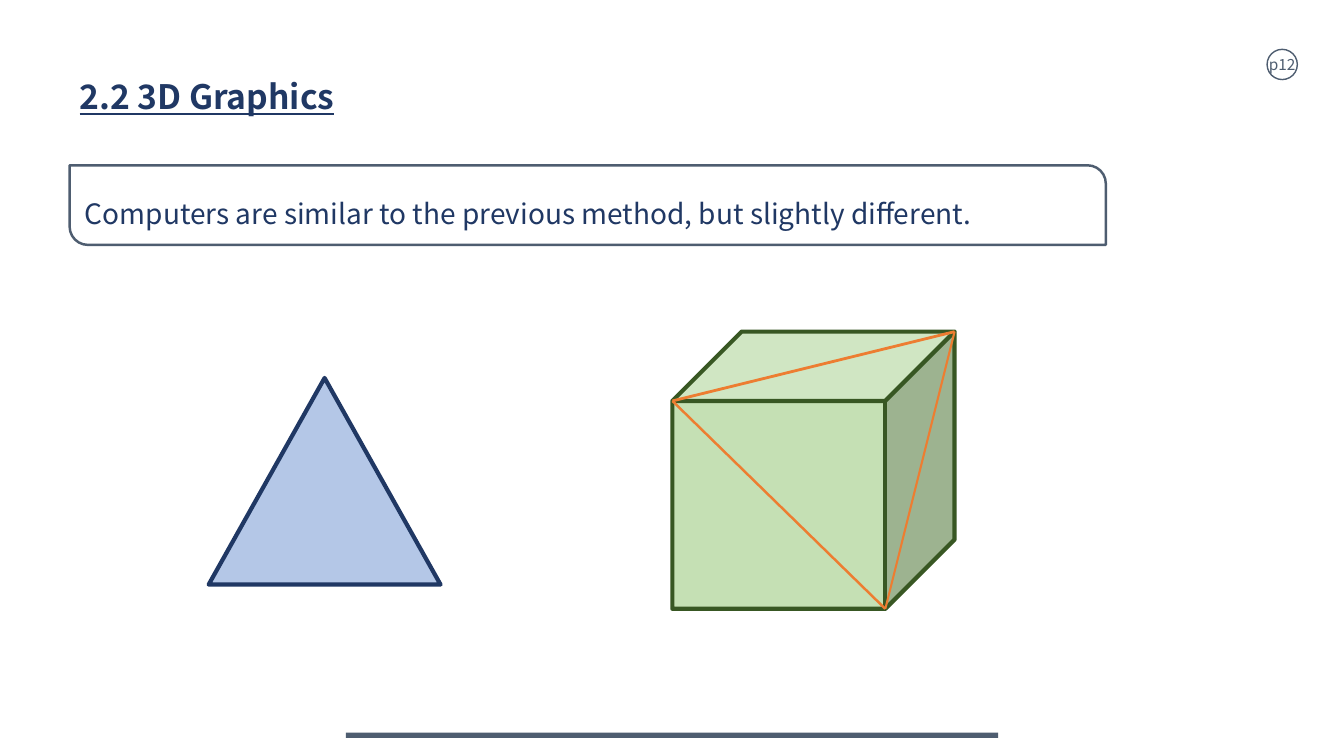
import dataclasses

import pptx
import pptx.dml.color
import pptx.enum.shapes
import pptx.enum.text
import pptx.oxml.ns
import pptx.util
from lxml import etree

SLIDE_WIDTH = pptx.util.Inches(13.333)
SLIDE_HEIGHT = pptx.util.Inches(7.5)
SHAPES = pptx.enum.shapes.MSO_SHAPE
ALIGN = pptx.enum.text.PP_ALIGN
ANCHOR = pptx.enum.text.MSO_ANCHOR


@dataclasses.dataclass(frozen=True)
class Theme:
    font: str = "Noto Sans CJK KR"
    navy: str = "203864"
    slate: str = "4E5D70"
    white: str = "FFFFFF"
    light_blue: str = "B4C7E7"
    light_green: str = "C5E0B4"
    dark_green: str = "385723"
    orange: str = "ED7D31"
    title_size: float = 24
    body_size: float = 20
    badge_size: float = 11


THEME = Theme()


def color(value):
    return pptx.dml.color.RGBColor.from_string(value)


def place(column, row):
    """Turn percentages of the slide's width and height into lengths."""
    return int(SLIDE_WIDTH * column / 100), int(SLIDE_HEIGHT * row / 100)


def add_box(shapes, kind, box, fill, line=None, line_width=1):
    """Draw a preset shape; box is left, top, width and height in percent."""
    shape = shapes.add_shape(kind, *place(*box[:2]), *place(*box[2:]))
    shape.shadow.inherit = False
    shape.fill.solid()
    shape.fill.fore_color.rgb = color(fill)
    if line:
        shape.line.color.rgb = color(line)
        shape.line.width = pptx.util.Pt(line_width)
    else:
        shape.line.fill.background()
    return shape


def write(shape, text, size, ink, align=ALIGN.LEFT, anchor=ANCHOR.TOP,
          wrap=True, spacing=1.0, heading=False):
    frame = shape.text_frame
    frame.word_wrap = wrap
    frame.vertical_anchor = anchor
    paragraph = frame.paragraphs[0]
    paragraph.alignment = align
    paragraph.line_spacing = spacing
    run = paragraph.add_run()
    run.text = text
    run.font.name = THEME.font
    run.font.size = pptx.util.Pt(size)
    run.font.color.rgb = color(ink)
    run.font.bold = heading
    run.font.underline = heading


def add_line(shapes, start, end, ink, width):
    line = shapes.add_connector(
        pptx.enum.shapes.MSO_CONNECTOR.STRAIGHT, *place(*start), *place(*end))
    line.line.color.rgb = color(ink)
    line.line.width = pptx.util.Pt(width)
    properties = line._element.spPr
    etree.SubElement(properties, pptx.oxml.ns.qn("a:effectLst"))


def add_title(slide, text):
    title = slide.shapes.add_textbox(*place(5.18, 6.67), *place(42.83, 8.4))
    write(title, text, THEME.title_size, THEME.navy, spacing=1.5, heading=True)
    title.text_frame.auto_size = pptx.enum.text.MSO_AUTO_SIZE.SHAPE_TO_FIT_TEXT


def add_page_badge(slide, text):
    badge = add_box(slide.shapes, SHAPES.OVAL, (94.28, 6.53, 2.25, 4),
                    THEME.white, THEME.slate)
    write(badge, text, THEME.badge_size, THEME.slate, ALIGN.CENTER,
          ANCHOR.MIDDLE, wrap=False)


def add_statement(slide, text):
    banner = add_box(slide.shapes, SHAPES.ROUND_2_DIAG_RECTANGLE,
                     (5.18, 21.87, 77.1, 10.53), THEME.white, THEME.slate, 1.75)
    banner.adjustments[0] = 0
    banner.adjustments[1] = 0.23
    write(banner, text, THEME.body_size, THEME.navy, ALIGN.JUSTIFY,
          ANCHOR.MIDDLE, spacing=1.5)


def add_triangulated_cube(slide):
    """Draw a cube with each visible face split into two triangles."""
    left, top, width, height = 50.03, 43.87, 21, 36.67
    depth = 0.25
    right, bottom = left + width, top + height
    front_top = top + depth * height
    front_right = right - depth * height * SLIDE_HEIGHT / SLIDE_WIDTH

    shapes = slide.shapes.add_group_shape().shapes
    cube = add_box(shapes, SHAPES.CUBE, (left, top, width, height),
                   THEME.light_green, THEME.dark_green, 3)
    cube.adjustments[0] = depth

    front_corner, back_corner = (left, front_top), (right, top)
    lower_corner = (front_right, bottom)
    for start, end, line_width in (
            (front_corner, back_corner, 2),
            (front_corner, lower_corner, 1.75),
            (lower_corner, back_corner, 1.5)):
        add_line(shapes, start, end, THEME.orange, line_width)


def main():
    presentation = pptx.Presentation()
    presentation.slide_width = SLIDE_WIDTH
    presentation.slide_height = SLIDE_HEIGHT
    slide = presentation.slides.add_slide(presentation.slide_layouts[6])

    add_title(slide, "2.2 3D Graphics")
    add_page_badge(slide, "p12")
    add_statement(slide, "Computers are similar to the previous method, "
                         "but slightly different.")
    add_box(slide.shapes, SHAPES.ISOSCELES_TRIANGLE, (15.53, 50, 17.25, 27.33),
            THEME.light_blue, THEME.navy, 3)
    add_triangulated_cube(slide)
    add_box(slide.shapes, SHAPES.RECTANGLE, (25.73, 96.93, 48.53, 0.67),
            THEME.slate)

    presentation.save("out.pptx")


if __name__ == "__main__":
    main()
